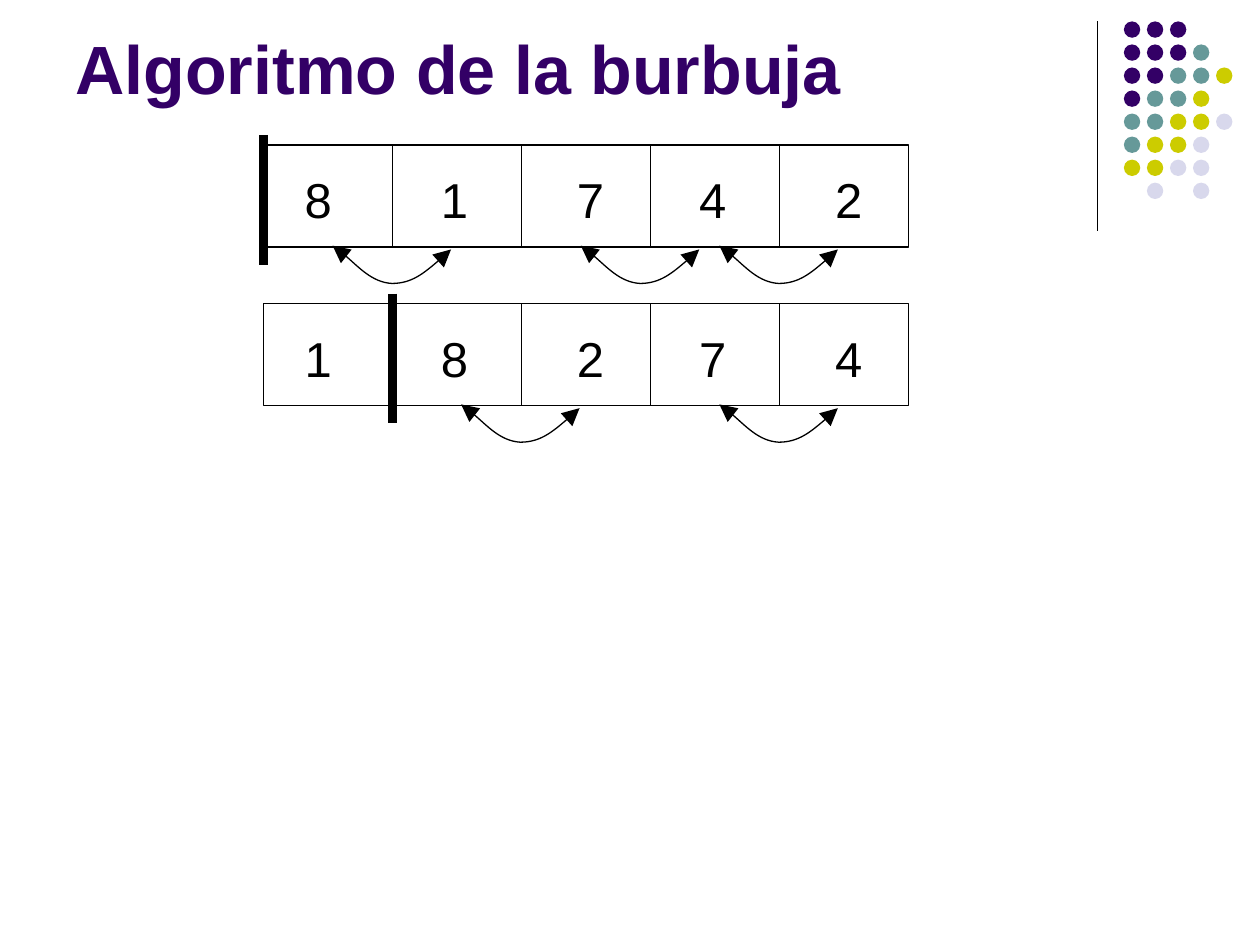
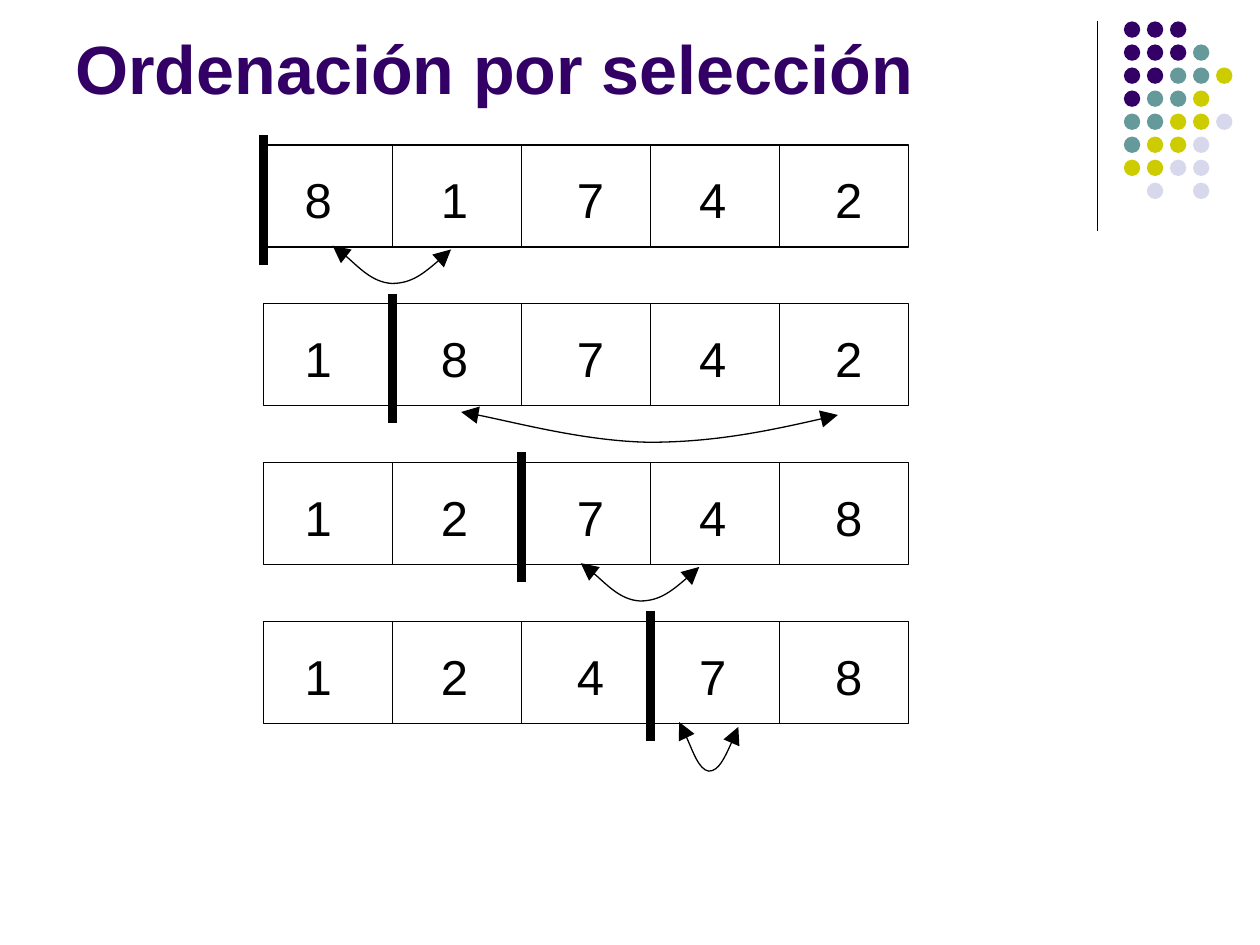
"""Builds two slides that compare bubble sort and selection sort step by step."""
from pptx import Presentation
from pptx.dml.color import RGBColor
from pptx.enum.shapes import MSO_CONNECTOR, MSO_SHAPE
from pptx.enum.text import MSO_ANCHOR
from pptx.oxml.ns import qn
from pptx.util import Inches, Pt
from lxml.etree import SubElement

FONT = "Arial"
BLACK = "000000"
PURPLE = "330066"
DOT_COLORS = {"P": PURPLE, "T": "669999", "Y": "CCCC00", "L": "D8D8EC"}
DOT_ROWS = ["PPP", "PPPT", "PPTTY", "PTTY", "TTYYL", "TYYL", "YYLL", ".L.L"]
DOT_LEFT, DOT_TOP, DOT_SIZE, DOT_PITCH = 8.92, 0.17, 0.13, 1.28 / 7

ROW_LEFT, ROW_TOP, ROW_PITCH = 2.09, 1.15, 1.26
ROW_WIDTH, ROW_HEIGHT, CELLS = 5.12, 0.81, 5
CELL_WIDTH = ROW_WIDTH / CELLS
DIGIT_TABS = [1.08, 2.16, 3.13, 4.21]

# left, width, gap below the row, depth
ARCS = {
    "1st-2nd": (2.64, 0.94, -0.01, 0.3),
    "2nd-3rd": (3.66, 0.94, -0.01, 0.3),
    "3rd-4th": (4.61, 0.94, -0.01, 0.3),
    "4th-5th": (5.71, 0.94, -0.01, 0.3),
    "2nd-5th": (3.66, 2.99, 0.05, 0.24),
    "4th-4th": (5.39, 0.47, -0.01, 0.39),
}
ARC_CURVE = [(1, 0.1), (0.84, 0.57), (0.67, 1), (0.5, 1),
             (0.33, 0.97), (0.09, 0.17), (0, 0)]

SLIDES = [
    ("Algoritmo de la burbuja", [
        ("81742", ["1st-2nd", "3rd-4th", "4th-5th"]),
        ("18274", ["2nd-3rd", "4th-5th"]),
    ]),
    ("Ordenación por selección", [
        ("81742", ["1st-2nd"]),
        ("18742", ["2nd-5th"]),
        ("12748", ["3rd-4th"]),
        ("12478", ["4th-4th"]),
    ]),
]


def rgb(color):
    return RGBColor.from_string(color)


def add_line(s, x1, y1, x2, y2, width=0.75):
    line = s.shapes.add_connector(MSO_CONNECTOR.STRAIGHT, Inches(x1), Inches(y1),
                                  Inches(x2), Inches(y2))
    line.line.color.rgb = rgb(BLACK)
    line.line.width = Pt(width)
    SubElement(line._element.spPr, qn("a:effectLst"))


def outline(sp):
    sp.shadow.inherit = False
    sp.fill.background()
    sp.line.color.rgb = rgb(BLACK)
    sp.line.width = Pt(0.75)


def add_text(s, text, x, y, w, h, size, color, bold=False, tabs=(), anchor=MSO_ANCHOR.TOP):
    tf = s.shapes.add_textbox(Inches(x), Inches(y), Inches(w), Inches(h)).text_frame
    tf.word_wrap = True
    tf.vertical_anchor = anchor
    p = tf.paragraphs[0]
    p.text = text
    if tabs:
        tab_list = SubElement(p._p.get_or_add_pPr(), qn("a:tabLst"))
        for pos in tabs:
            SubElement(tab_list, qn("a:tab"), pos=str(Inches(pos)), algn="l")
    p.font.name = FONT
    p.font.size = Pt(size)
    p.font.bold = bold
    p.font.color.rgb = rgb(color)


def add_arc(s, name, row_bottom):
    left, width, gap, depth = ARCS[name]
    start, *rest = [(Inches(left + u * width), Inches(row_bottom + gap + v * depth))
                    for u, v in ARC_CURVE]
    builder = s.shapes.build_freeform(*start)
    builder.add_line_segments(rest, close=False)
    sp = builder.convert_to_shape()
    outline(sp)
    path = sp._element.find(".//" + qn("a:path"))
    segments = path.findall(qn("a:lnTo"))
    for i in range(0, len(segments), 3):
        curve = SubElement(path, qn("a:cubicBezTo"))
        for segment in segments[i:i + 3]:
            curve.append(segment[0])
            path.remove(segment)
    ln = sp._element.spPr.find(qn("a:ln"))
    for end in ("a:headEnd", "a:tailEnd"):
        SubElement(ln, qn(end), type="triangle", w="lg", len="lg")


def add_decoration(s):
    add_line(s, 8.71, 0.17, 8.71, 1.83)
    for row, codes in enumerate(DOT_ROWS):
        for col, code in enumerate(codes):
            if code in DOT_COLORS:
                dot = s.shapes.add_shape(
                    MSO_SHAPE.OVAL, Inches(DOT_LEFT + col * DOT_PITCH),
                    Inches(DOT_TOP + row * DOT_PITCH), Inches(DOT_SIZE), Inches(DOT_SIZE))
                dot.shadow.inherit = False
                dot.fill.solid()
                dot.fill.fore_color.rgb = rgb(DOT_COLORS[code])
                dot.line.fill.background()


def add_step(s, step, digits, swaps):
    top = ROW_TOP + step * ROW_PITCH
    bottom = top + ROW_HEIGHT
    outline(s.shapes.add_shape(MSO_SHAPE.RECTANGLE, Inches(ROW_LEFT), Inches(top),
                               Inches(ROW_WIDTH), Inches(ROW_HEIGHT)))
    for i in range(1, CELLS):
        x = ROW_LEFT + i * CELL_WIDTH
        add_line(s, x, top, x, bottom)
    add_text(s, "\t".join(digits), 2.32, top + 0.15, 4.72, 0.57, 28, BLACK, tabs=DIGIT_TABS)
    for name in swaps:
        add_arc(s, name, bottom)
    sorted_edge = ROW_LEFT + step * CELL_WIDTH
    add_line(s, sorted_edge, top - 0.08, sorted_edge, top + 0.95, width=5)


def main():
    prs = Presentation()
    prs.slide_width, prs.slide_height = Inches(10), Inches(7.5)
    for title, steps in SLIDES:
        s = prs.slides.add_slide(prs.slide_layouts[6])
        add_decoration(s)
        add_text(s, title, 0.5, 0.13, 8.25, 0.78, 39, PURPLE, bold=True,
                 anchor=MSO_ANCHOR.BOTTOM)
        for step, (digits, swaps) in enumerate(steps):
            add_step(s, step, digits, swaps)
    prs.save("out.pptx")


if __name__ == "__main__":
    main()
